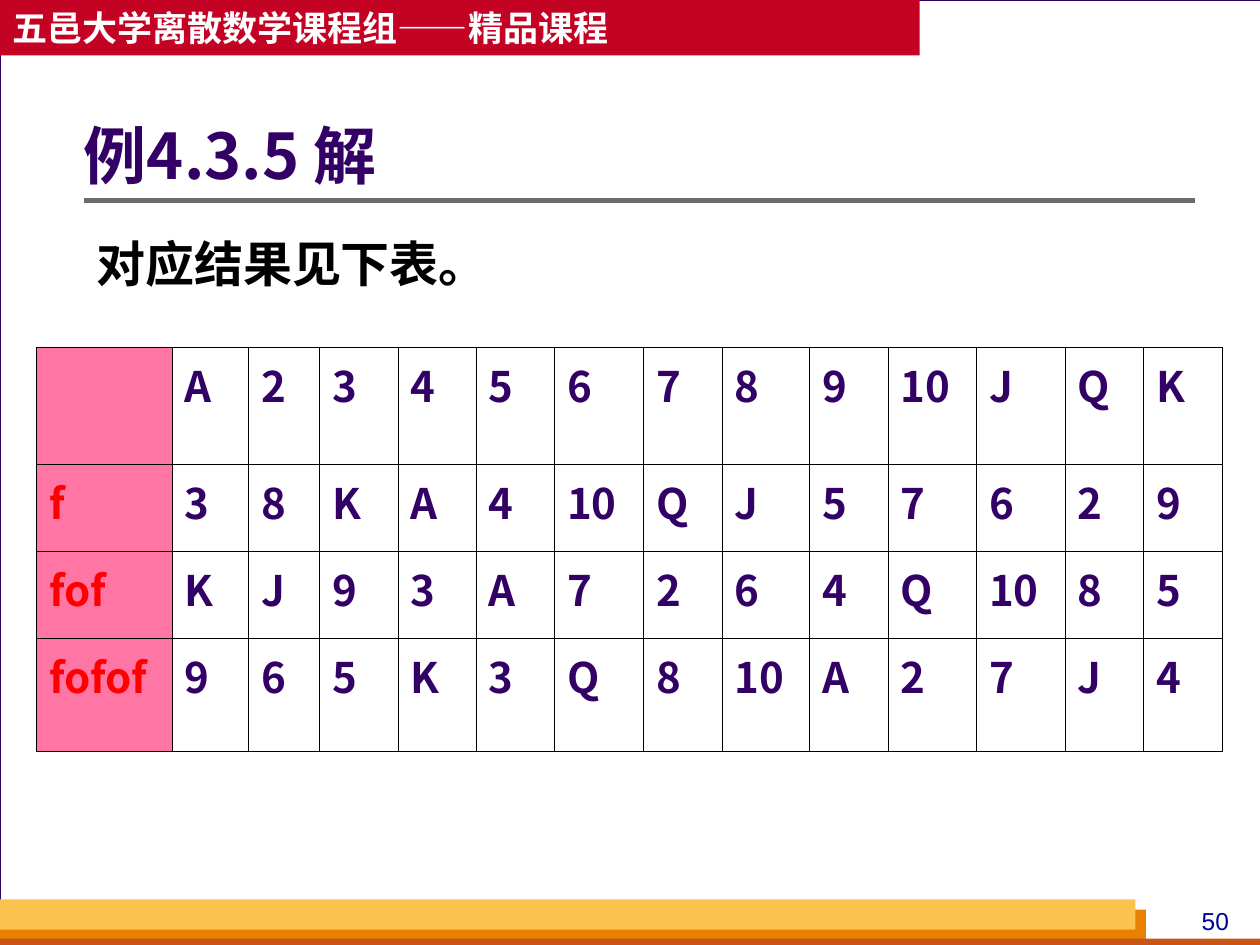
from lxml import etree
from pptx import Presentation
from pptx.dml.color import RGBColor
from pptx.enum.shapes import MSO_CONNECTOR, MSO_SHAPE
from pptx.enum.text import MSO_ANCHOR as ANCHOR, PP_ALIGN as ALIGN
from pptx.oxml.ns import qn
from pptx.util import Pt

COLORS = {
    "background": "D8DADA", "white": "FFFFFF", "black": "000000",
    "purple": "330066", "red": "FF0000", "pink": "FF6699", "banner": "C30224",
    "rule": "6B6B6B", "yellow": "FCC24F", "orange": "E88000",
    "rust": "C95616", "navy": "000099",
}
CJK_FONT = "Noto Sans CJK SC"

CARDS = "A 2 3 4 5 6 7 8 9 10 J Q K".split()
F = dict(zip(CARDS, "3 8 K A 4 10 Q J 5 7 6 2 9".split()))
COLUMN_WIDTHS = [77.7, 43.6, 40.5, 44.8, 44.8, 44.8, 50.8, 44.8, 50.2,
                 44.8, 50.6, 50.6, 44.8, 44.8]
ROW_HEIGHTS = [66.8, 49.7, 49.7, 64.8]


def rgb(name):
    return RGBColor.from_string(COLORS[name])


def write(frame, text, size, color, font=CJK_FONT, bold=True,
          align=ALIGN.LEFT, spacing=None):
    paragraph = frame.paragraphs[0]
    paragraph.alignment = align
    if spacing:
        paragraph.line_spacing = spacing
    run = paragraph.add_run()
    run.text = text
    run.font.size = Pt(size)
    run.font.bold = bold
    run.font.name = font
    run.font.color.rgb = rgb(color)
    east_asian = etree.SubElement(run.font._element, qn("a:ea"))
    east_asian.set("typeface", font)


def add_bar(slide, box, fill, line=None):
    bar = slide.shapes.add_shape(MSO_SHAPE.RECTANGLE, *map(Pt, box))
    bar.shadow.inherit = False
    bar.fill.solid()
    bar.fill.fore_color.rgb = rgb(fill)
    if line:
        bar.line.color.rgb = rgb(line)
        bar.line.width = Pt(0.75)
    else:
        bar.line.fill.background()
    return bar


def add_text(slide, box, text, size, color, anchor=ANCHOR.TOP, inset=7.2,
             **style):
    frame = slide.shapes.add_textbox(*map(Pt, box)).text_frame
    frame.word_wrap = True
    frame.vertical_anchor = anchor
    frame.margin_left = Pt(inset)
    write(frame, text, size, color, **style)


def add_banner(slide, box):
    frame = add_bar(slide, box, "banner").text_frame
    frame.word_wrap = True
    frame.vertical_anchor = ANCHOR.MIDDLE
    write(frame, "五邑大学离散数学课程组——精品课程", 20, "white")


def add_footer(slide, box):
    left, top, width, height = box
    add_bar(slide, (left, top + 5.8, 654.8, 20.2), "orange")
    add_bar(slide, (left, top + 22.4, width, height - 22.4), "rust")
    add_bar(slide, (left, top, 648.8, 17.3), "yellow")
    add_text(slide, (left + 671.8, top, 45.4, 24.5), "50", 14, "navy",
             font="Arial", bold=False, align=ALIGN.CENTER)


def add_heading(slide, box):
    left, top, width, height = box
    rule_y = Pt(top + 59.8)
    rule = slide.shapes.add_connector(
        MSO_CONNECTOR.STRAIGHT, Pt(left), rule_y, Pt(left + width), rule_y)
    rule.line.color.rgb = rgb("rule")
    rule.line.width = Pt(3)
    etree.SubElement(rule._element.spPr, qn("a:effectLst"))
    add_text(slide, box, "例4.3.5 解", 36, "purple", anchor=ANCHOR.MIDDLE,
             inset=0, spacing=0.9)


def add_borders(cell):
    properties = cell._tc.get_or_add_tcPr()
    for index, side in enumerate(("lnL", "lnR", "lnT", "lnB")):
        border = etree.Element(qn(f"a:{side}"), w=str(Pt(0.45)))
        fill = etree.SubElement(border, qn("a:solidFill"))
        etree.SubElement(fill, qn("a:srgbClr"), val=COLORS["black"])
        properties.insert(index, border)


def fill_label(cell):
    cell.fill.solid()
    cell.fill.fore_color.rgb = rgb("pink")
    color = cell._tc.tcPr.find(".//" + qn("a:srgbClr"))
    etree.SubElement(color, qn("a:alpha"), val="90000")


def composition_rows():
    """Return the cards, then their images under f applied one to three times."""
    rows, images = [["", *CARDS]], CARDS
    for label in ("f", "fof", "fofof"):
        images = [F[card] for card in images]
        rows.append([label, *images])
    return rows


def add_composition_table(slide, box):
    rows = composition_rows()
    table = slide.shapes.add_table(
        len(rows), len(rows[0]), *map(Pt, box)).table
    for column, width in zip(table.columns, COLUMN_WIDTHS):
        column.width = Pt(width)
    for row, height in zip(table.rows, ROW_HEIGHTS):
        row.height = Pt(height)
    for r, values in enumerate(rows):
        for c, value in enumerate(values):
            cell = table.cell(r, c)
            if c == 0:
                fill_label(cell)
            else:
                cell.fill.background()
            add_borders(cell)
            if value:
                write(cell.text_frame, value, 24, "purple" if c else "red")


def main():
    deck = Presentation()
    deck.slide_width, deck.slide_height = Pt(720), Pt(540)
    slide = deck.slides.add_slide(deck.slide_layouts[6])
    slide.background.fill.solid()
    slide.background.fill.fore_color.rgb = rgb("background")

    add_bar(slide, (0, 0, 720.5, 540), "white", line="purple")
    add_footer(slide, (0, 514, 720.5, 28))
    add_banner(slide, (0, 0, 525.6, 31.7))
    add_heading(slide, (48, 54.8, 635, 72.6))
    add_text(slide, (48, 123, 659.5, 92.9), "对应结果见下表。", 28, "black",
             spacing=1.2)
    add_composition_table(
        slide, (20.8, 198.6, sum(COLUMN_WIDTHS), sum(ROW_HEIGHTS)))
    deck.save("out.pptx")


if __name__ == "__main__":
    main()
